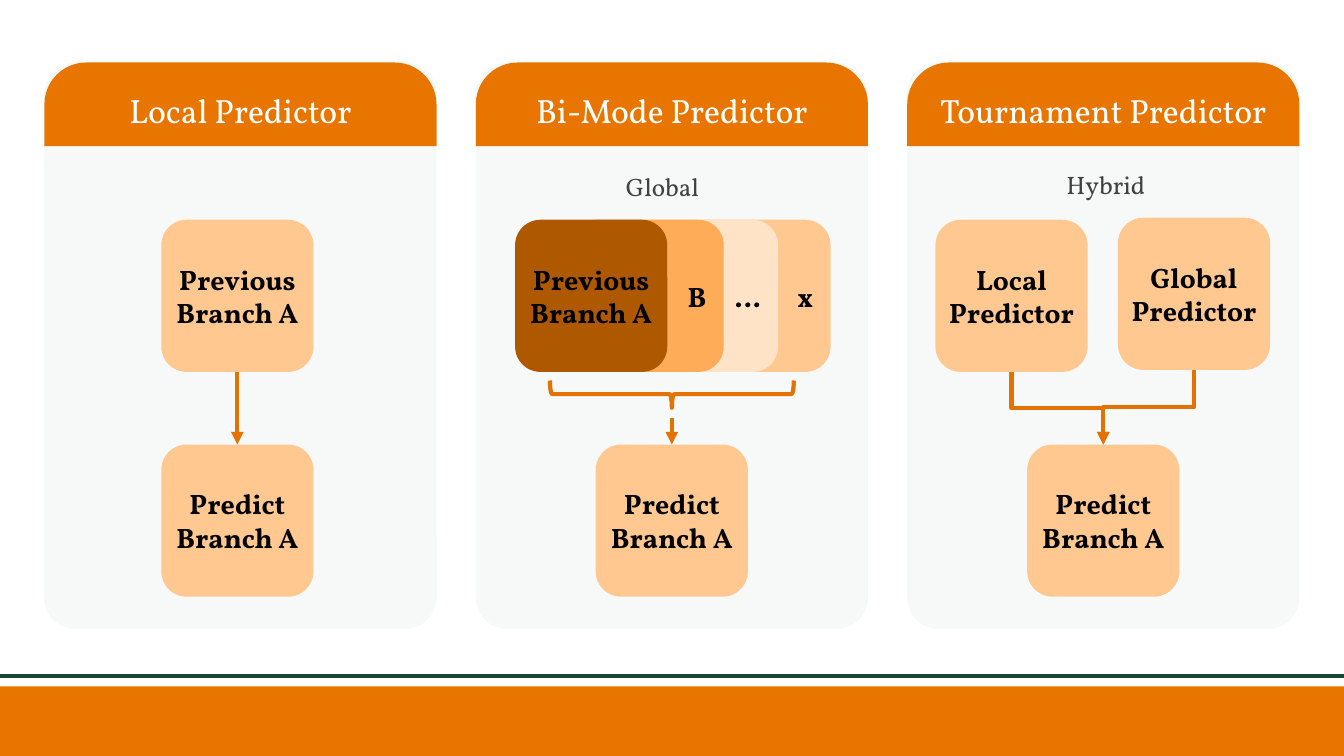
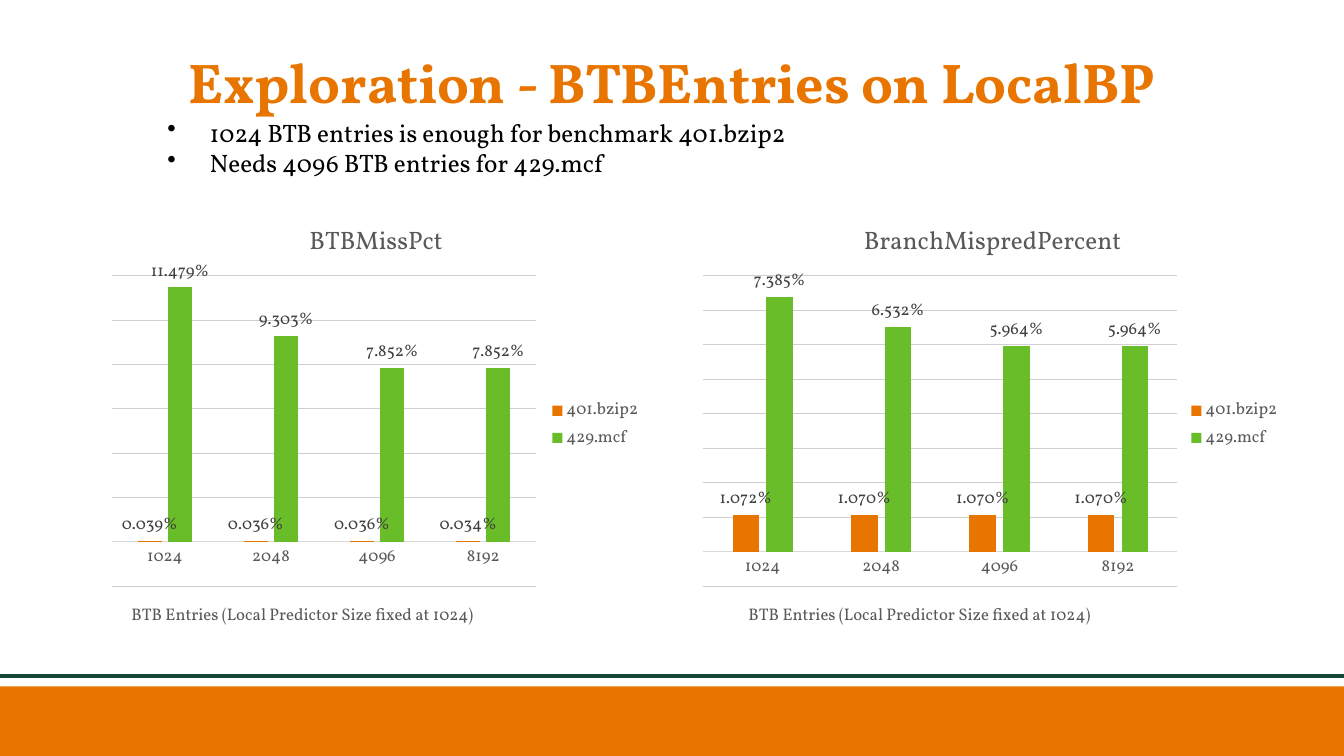
from collections import namedtuple

import pptx
import pptx.chart.data
import pptx.dml.color
import pptx.enum.chart
import pptx.enum.shapes
import pptx.enum.text
import pptx.oxml
import pptx.oxml.ns
import pptx.util

RGBColor = pptx.dml.color.RGBColor
SHAPE = pptx.enum.shapes.MSO_SHAPE
CONNECTOR = pptx.enum.shapes.MSO_CONNECTOR
ALIGN = pptx.enum.text.PP_ALIGN
ANCHOR = pptx.enum.text.MSO_ANCHOR
Pt = pptx.util.Pt
qn = pptx.oxml.ns.qn

ORANGE = RGBColor(0xE8, 0x75, 0x00)
ARROW = RGBColor(0xE3, 0x72, 0x00)
BROWN = RGBColor(0xAE, 0x58, 0x00)
AMBER = RGBColor(0xFF, 0xAC, 0x58)
PEACH = RGBColor(0xFF, 0xC8, 0x90)
CREAM = RGBColor(0xFF, 0xE3, 0xC7)
DARK_GREEN = RGBColor(0x15, 0x47, 0x34)
GREEN = RGBColor(0x69, 0xBD, 0x28)
PANEL = RGBColor(0xF7, 0xF9, 0xF9)
WHITE = RGBColor(0xFF, 0xFF, 0xFF)
BLACK = RGBColor(0, 0, 0)
CAPTION = RGBColor(0x41, 0x41, 0x41)
LABEL = RGBColor(0x40, 0x40, 0x40)
CHART_TEXT = RGBColor(0x59, 0x59, 0x59)
GRID = RGBColor(0xD0, 0xCE, 0xCE)
AXIS = RGBColor(0xD9, 0xD9, 0xD9)

FACE = "Vollkorn"
CELL = pptx.util.Inches(0.1)  # the slide is a grid of square cells
COLS, ROWS = 133.33, 75
BLOCK = 15.1
PAD = 2.5
PREVIOUS = ["Previous", "Branch A"]
PREDICT = ["Predict", "Branch A"]

Box = namedtuple("Box", "x y w h")


def cells(*values):
    return [round(v * CELL) for v in values]


def apply(obj, **values):
    for name, value in values.items():
        setattr(obj, name, value)


def set_font(font, size, color, bold=False):
    apply(font, name=FACE, size=Pt(size), bold=bold)
    font.color.rgb = color


def write(sp, lines, size, color, bold=False, align=ALIGN.LEFT, spacing=None,
          pad=(0, 0, 0, 0), **frame):
    tf = sp.text_frame
    left, top, right, bottom = cells(*pad)
    apply(tf, margin_left=left, margin_top=top, margin_right=right,
          margin_bottom=bottom, **frame)
    for i, line in enumerate(lines):
        p = tf.paragraphs[0] if i == 0 else tf.add_paragraph()
        p.alignment = align
        if spacing:
            p.line_spacing = spacing
        r = p.add_run()
        r.text = line
        set_font(r.font, size, color, bold)


def add_filled(shapes, kind, box, color):
    sp = shapes.add_shape(kind, *cells(*box))
    sp.shadow.inherit = False
    sp.fill.solid()
    sp.fill.fore_color.rgb = color
    sp.line.fill.background()
    return sp


def add_text(s, box, lines, size, color, **style):
    sp = s.shapes.add_textbox(*cells(*box))
    write(sp, lines, size, color, **style)
    return sp


def add_line(s, start, end, color, kind=CONNECTOR.STRAIGHT, arrow=False):
    c = s.shapes.add_connector(kind, *cells(*start, *end))
    c.line.color.rgb = color
    c.line.width = Pt(3)
    if arrow:
        ln = c.line._get_or_add_ln()
        pptx.oxml.ns and ln.append(ln.makeelement(qn("a:tailEnd"), {"type": "triangle"}))
    spPr = c._element.spPr
    spPr.append(spPr.makeelement(qn("a:effectLst"), {}))
    return c


def add_footer(s):
    add_filled(s.shapes, SHAPE.RECTANGLE, Box(0, 68.1, COLS, ROWS - 68.1), ORANGE)
    add_line(s, (0, 67.1), (COLS, 67.1), DARK_GREEN)


def add_block(shapes, x, y, lines, color=PEACH, tab=False):
    """Rounded square; a tab shows its text at the right edge, beside the square on top."""
    sp = add_filled(shapes, SHAPE.ROUNDED_RECTANGLE, Box(x, y, BLOCK, BLOCK), color)
    write(sp, lines, 20, BLACK, bold=True, align=ALIGN.RIGHT if tab else ALIGN.CENTER,
          pad=(PAD, PAD, 1 if tab else PAD, PAD), vertical_anchor=ANCHOR.MIDDLE,
          word_wrap=False)
    return sp


def join_down(s, upper, lower):
    """Arrow from the bottom of one block to the top of another, bent if they are offset."""
    straight = upper.left == lower.left
    kind = CONNECTOR.STRAIGHT if straight else CONNECTOR.ELBOW
    c = add_line(s, (0, 0), (1, 1), ARROW, kind, arrow=True)
    c.begin_connect(upper, 2)
    c.end_connect(lower, 0)
    if straight:
        return
    dx, dy = c.end_x - c.begin_x, c.end_y - c.begin_y
    mid_x, mid_y = (c.begin_x + c.end_x) // 2, (c.begin_y + c.end_y) // 2
    apply(c, left=mid_x - dy // 2, top=mid_y - abs(dx) // 2, width=dy, height=abs(dx))
    apply(c._element.spPr.find(qn("a:xfrm")), rot=270.0 if dx > 0 else 90.0,
          flipH=dx > 0, flipV=False)


def add_panel(s, box, heading):
    sp = add_filled(s.shapes, SHAPE.ROUNDED_RECTANGLE, box, PANEL)
    sp.adjustments[0] = 0.08
    sp = add_filled(s.shapes, SHAPE.ROUND_2_SAME_RECTANGLE, box._replace(h=8.3), ORANGE)
    sp.adjustments[0] = 0.5
    write(sp, [heading], 24, WHITE, align=ALIGN.CENTER, pad=(PAD,) * 4,
          vertical_anchor=ANCHOR.MIDDLE, word_wrap=False)


def add_caption(s, x, y, w, text):
    add_text(s, Box(x, y, w, 3.5), [text], 18, CAPTION, spacing=1.2, word_wrap=False,
             auto_size=pptx.enum.text.MSO_AUTO_SIZE.SHAPE_TO_FIT_TEXT)


def local_panel(s, box):
    add_panel(s, box, "Local Predictor")
    x = box.x + 11.6
    previous = add_block(s.shapes, x, box.y + 15.6, PREVIOUS)
    join_down(s, previous, add_block(s.shapes, x, box.y + 37.9, PREDICT))


def bimode_panel(s, box):
    add_panel(s, box, "Bi-Mode Predictor")
    add_caption(s, box.x + 14.9, box.y + 10.2, 7.5, "Global")
    stack = s.shapes.add_group_shape().shapes
    for dx, text, color in ((20.1, "x", PEACH), (14.9, "…", CREAM), (9.5, "B", AMBER)):
        add_block(stack, box.x + dx, box.y + 15.6, [text], color, tab=True)
    add_block(stack, box.x + 3.9, box.y + 15.6, PREVIOUS, BROWN)

    mid = box.x + box.w / 2
    predict = add_block(s.shapes, mid - BLOCK / 2, box.y + 37.9, PREDICT)
    w, h = 2.7, 24.2
    brace = s.shapes.add_shape(SHAPE.RIGHT_BRACE,
                               *cells(mid - w / 2, box.y + 32.9 - h / 2, w, h))
    brace.shadow.inherit = False
    brace.rotation = 90
    brace.fill.background()
    brace.line.color.rgb = ARROW
    brace.line.width = Pt(3)
    arrow = add_line(s, (mid, box.y + 35.3), (mid, box.y + 37.9), ARROW, arrow=True)
    arrow.end_connect(predict, 0)


def tournament_panel(s, box):
    add_panel(s, box, "Tournament Predictor")
    add_caption(s, box.x + 15.8, box.y + 10, 8.2, "Hybrid")
    predict = add_block(s.shapes, box.x + (box.w - BLOCK) / 2, box.y + 37.9, PREDICT)
    for dx, dy, kind in ((2.8, 15.6, "Local"), (20.9, 15.4, "Global")):
        source = add_block(s.shapes, box.x + dx, box.y + dy, [kind, "Predictor"])
        join_down(s, source, predict)


def set_layout(parent, index, **shares):
    """Place a chart part by shares of the chart's size."""
    for old in parent.findall(qn("c:layout")):
        parent.remove(old)
    layout = parent.makeelement(qn("c:layout"), {})
    manual = layout.makeelement(qn("c:manualLayout"), {})
    layout.append(manual)
    values = {"xMode": "edge", "yMode": "edge", **shares}
    if "w" in shares:
        values = {"layoutTarget": "inner", **values}
    for tag, value in values.items():
        manual.append(manual.makeelement(qn("c:" + tag), {"val": str(value)}))
    parent.insert(index, layout)


def set_chart_title(title, text, size, x, y):
    title.text_frame.text = text
    set_font(title.text_frame.paragraphs[0].runs[0].font, size, CHART_TEXT)
    set_layout(title._element, 1, x=x, y=y)


def add_column_chart(s, box, title, series, low, high, step, title_x, axis_x, plot_w):
    data = pptx.chart.data.CategoryChartData(number_format="0.000%")
    data.categories = ["1024", "2048", "4096", "8192"]
    for name, values in series.items():
        data.add_series(name, values)
    chart = s.shapes.add_chart(pptx.enum.chart.XL_CHART_TYPE.COLUMN_CLUSTERED,
                               *cells(*box), data).chart
    set_font(chart.font, 10, BLACK)
    chart.has_title = True
    set_chart_title(chart.chart_title, title, 18, title_x, 0.04)
    chart.has_legend = True
    apply(chart.legend, position=pptx.enum.chart.XL_LEGEND_POSITION.RIGHT,
          include_in_layout=False)
    set_font(chart.legend.font, 12, CHART_TEXT)

    axis = chart.category_axis
    axis.major_tick_mark = pptx.enum.chart.XL_TICK_MARK.NONE
    axis.format.line.color.rgb = AXIS
    axis.format.line.width = Pt(0.75)
    set_font(axis.tick_labels.font, 12, CHART_TEXT)
    set_chart_title(axis.axis_title, "BTB Entries (Local Predictor Size fixed at 1024)",
                    12, axis_x, 0.89)

    axis = chart.value_axis
    apply(axis, visible=False, minimum_scale=low, maximum_scale=high, major_unit=step,
          has_major_gridlines=True)
    axis.major_gridlines.format.line.color.rgb = GRID
    axis.major_gridlines.format.line.width = Pt(0.75)

    plot = chart.plots[0]
    apply(plot, gap_width=219, overlap=-27, vary_by_categories=False)
    for ser, color in zip(plot.series, (ORANGE, GREEN)):
        ser.format.fill.solid()
        ser.format.fill.fore_color.rgb = color
        apply(ser.data_labels, show_value=True, number_format="0.000%",
              number_format_is_linked=False,
              position=pptx.enum.chart.XL_LABEL_POSITION.OUTSIDE_END)
        set_font(ser.data_labels.font, 12, LABEL)
    set_layout(chart._chartSpace.chart.plotArea, 0, x=0.02, y=0.17, w=plot_w, h=0.69)


def add_bullets(s, box, lines):
    sp = add_text(s, box, lines, 18, BLACK, word_wrap=True)
    for p in sp.text_frame.paragraphs:
        pPr = p._p.get_or_add_pPr()
        pPr.set("marL", str(cells(6)[0]))
        pPr.set("indent", str(cells(-4.2)[0]))
        pPr.append(pPr.makeelement(qn("a:buChar"), {"char": "•"}))


def predictors_slide(s):
    add_footer(s)
    for i, panel in enumerate((local_panel, bimode_panel, tournament_panel)):
        panel(s, Box(4.4 + 42.8 * i, 6.2, 38.9, 56.2))


def exploration_slide(s):
    add_footer(s)
    add_text(s, Box(10, 3.6, COLS - 20, 10), ["Exploration - BTBEntries on LocalBP"],
             40, ORANGE, bold=True, align=ALIGN.CENTER, spacing=0.85, word_wrap=True,
             vertical_anchor=ANCHOR.MIDDLE)
    add_bullets(s, Box(14.8, 11.6, 103.7, 6.1),
                ["1024 BTB entries is enough for benchmark 401.bzip2",
                 "Needs 4096 BTB entries for 429.mcf"])
    add_column_chart(s, Box(10, 19.8, 54.7, 44.6), "BTBMissPct",
                     {"401.bzip2": (0.00039, 0.00036, 0.00036, 0.00034),
                      "429.mcf": (0.11479, 0.09303, 0.07852, 0.07852)},
                     -0.02, 0.12, 0.02, title_x=0.37, axis_x=0.05, plot_w=0.77)
    add_column_chart(s, Box(68.6, 19.8, 59.5, 44.6), "BranchMispredPercent",
                     {"401.bzip2": (0.01072, 0.0107, 0.0107, 0.0107),
                      "429.mcf": (0.07385, 0.06532, 0.05964, 0.05964)},
                     -0.01, 0.08, 0.01, title_x=0.28, axis_x=0.09, plot_w=0.79)


def main():
    prs = pptx.Presentation()
    prs.slide_width, prs.slide_height = cells(COLS, ROWS)
    for build in (predictors_slide, exploration_slide):
        build(prs.slides.add_slide(prs.slide_layouts[6]))
    prs.save("out.pptx")


if __name__ == "__main__":
    main()
